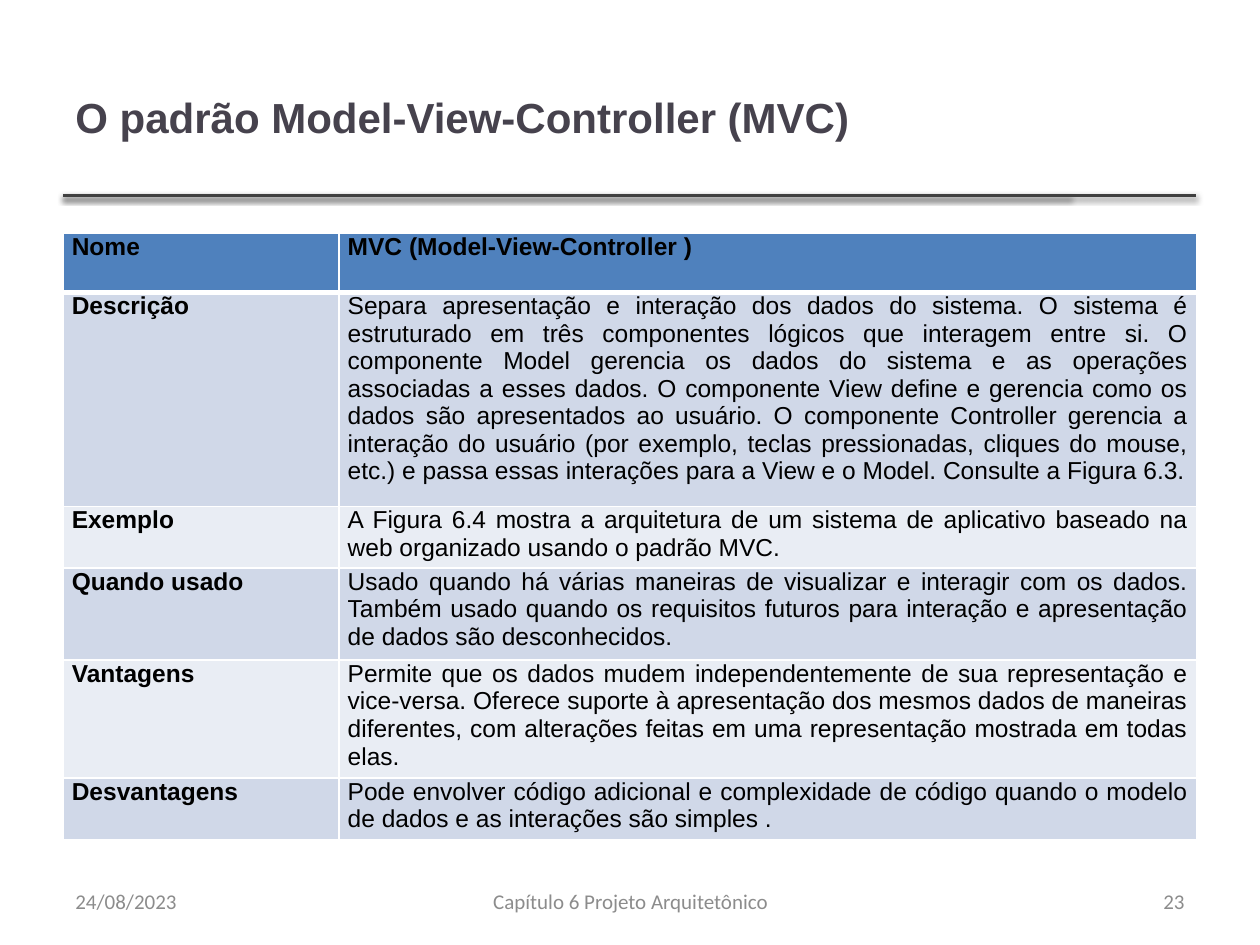
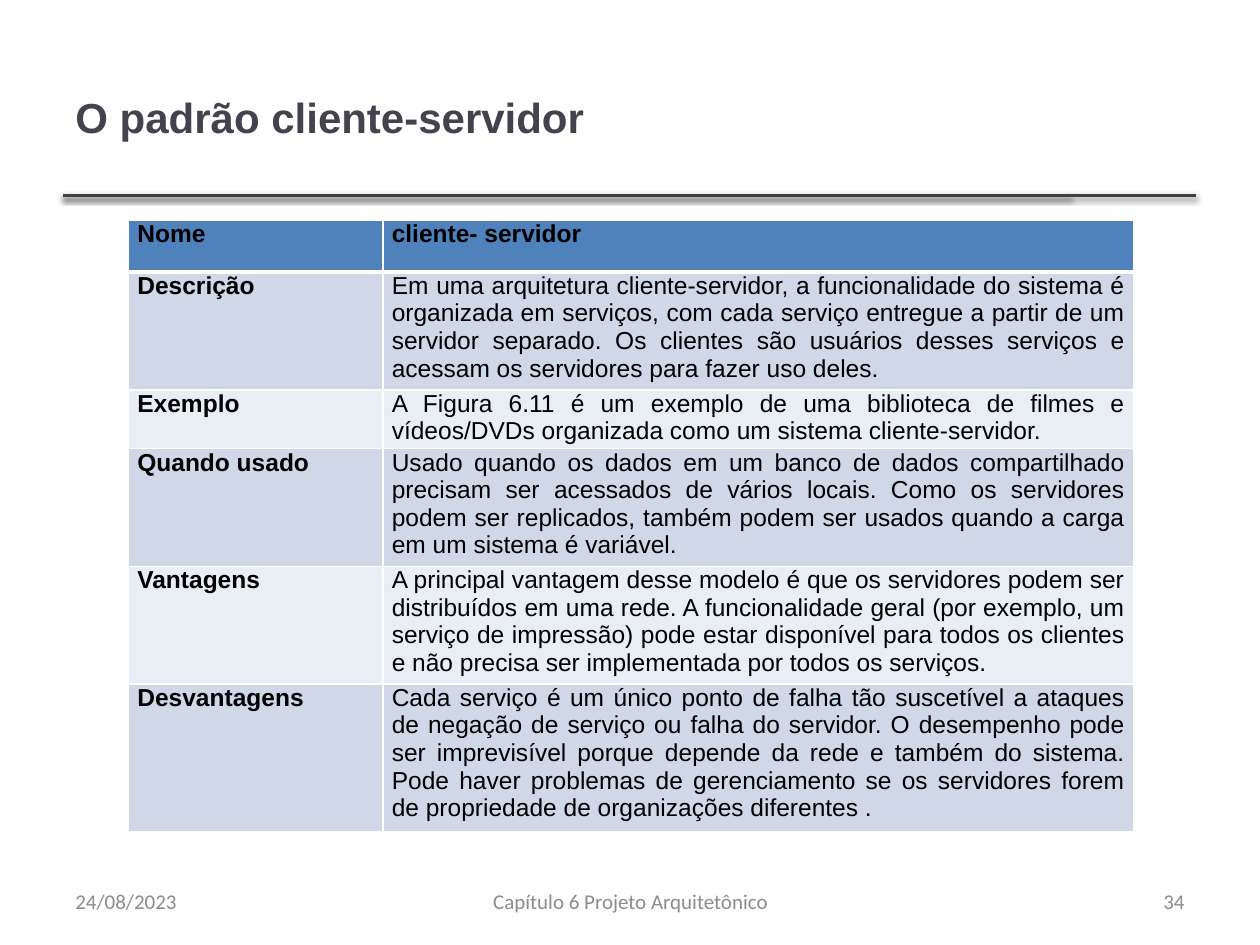
from pptx import Presentation
from pptx.util import Inches, Pt
from pptx.dml.color import RGBColor as RGB
from pptx.enum.shapes import MSO_CONNECTOR as Conn
from pptx.enum.text import MSO_ANCHOR as Anchor, PP_ALIGN as Align
from pptx.oxml import parse_xml
from pptx.oxml.ns import nsdecls

HUE = {"title": "46424D", "rule": "404040", "foot": "8C8C8C", "text": "000000",
       "head": "4F81BD", "dark": "D0D8E8", "light": "E9EDF4", "edge": "FFFFFF"}
HEADS = ["Nome", "Descrição", "Exemplo", "Quando usado", "Vantagens", "Desvantagens"]
NS = nsdecls("a")
SHADE = (f'<a:effectLst {NS}><a:outerShdw blurRad="40000" dist="20000" dir="5400000" rotWithShape="0">'
         '<a:srgbClr val="000000"><a:alpha val="38000"/></a:srgbClr></a:outerShdw></a:effectLst>')

PAGES = [
    {"title": "O padrão Model-View-Controller (MVC)", "page": "23",
     "at": (0.5, 1.85), "cols": (2.19, 6.81),
     "rows": (0.47, 1.7, 0.49, 0.73, 0.87, 0.49),
     "texts": [
         "MVC (Model-View-Controller )",
         "Separa apresentação e interação dos dados do sistema. O sistema é estruturado em três "
         "componentes lógicos que interagem entre si. O componente Model gerencia os dados do sistema "
         "e as operações associadas a esses dados. O componente View define e gerencia como os dados "
         "são apresentados ao usuário. O componente Controller gerencia a interação do usuário (por "
         "exemplo, teclas pressionadas, cliques do mouse, etc.) e passa essas interações para a View "
         "e o Model. Consulte a Figura 6.3.",
         "A Figura 6.4 mostra a arquitetura de um sistema de aplicativo baseado na web organizado "
         "usando o padrão MVC.",
         "Usado quando há várias maneiras de visualizar e interagir com os dados. Também usado quando "
         "os requisitos futuros para interação e apresentação de dados são desconhecidos.",
         "Permite que os dados mudem independentemente de sua representação e vice-versa. Oferece "
         "suporte à apresentação dos mesmos dados de maneiras diferentes, com alterações feitas em uma "
         "representação mostrada em todas elas.",
         "Pode envolver código adicional e complexidade de código quando o modelo de dados e as "
         "interações são simples ."]},
    {"title": "O padrão cliente-servidor", "page": "34",
     "at": (1.02, 1.75), "cols": (2.02, 5.96),
     "rows": (0.41, 0.87, 0.44, 0.87, 0.87, 1.09),
     "texts": [
         "cliente- servidor",
         "Em uma arquitetura cliente-servidor, a funcionalidade do sistema é organizada em serviços, "
         "com cada serviço entregue a partir de um servidor separado. Os clientes são usuários desses "
         "serviços e acessam os servidores para fazer uso deles.",
         "A Figura 6.11 é um exemplo de uma biblioteca de filmes e vídeos/DVDs organizada como um "
         "sistema cliente-servidor.",
         "Usado quando os dados em um banco de dados compartilhado precisam ser acessados de vários "
         "locais. Como os servidores podem ser replicados, também podem ser usados quando a carga em "
         "um sistema é variável.",
         "A principal vantagem desse modelo é que os servidores podem ser distribuídos em uma rede. A "
         "funcionalidade geral (por exemplo, um serviço de impressão) pode estar disponível para todos "
         "os clientes e não precisa ser implementada por todos os serviços.",
         "Cada serviço é um único ponto de falha tão suscetível a ataques de negação de serviço ou "
         "falha do servidor. O desempenho pode ser imprevisível porque depende da rede e também do "
         "sistema. Pode haver problemas de gerenciamento se os servidores forem de propriedade de "
         "organizações diferentes ."]},
]


def write(frame, text, size=14, font="Arial", hue="text", bold=False, align=Align.LEFT):
    frame.word_wrap = True
    par = frame.paragraphs[0]
    par.alignment = align
    run = par.add_run()
    run.text = text
    run.font.size = Pt(size)
    run.font.name = font
    run.font.bold = bold
    run.font.color.rgb = RGB.from_string(HUE[hue])


deck = Presentation()
deck.slide_width, deck.slide_height = Inches(10), Inches(7.5)

for page in PAGES:
    slide = deck.slides.add_slide(deck.slide_layouts[6])

    for end in (8.49, 9.49):
        rule = slide.shapes.add_connector(Conn.STRAIGHT, Inches(0.5), Inches(1.55), Inches(end), Inches(1.55))
        rule.line.width = Pt(2)
        rule.line.color.rgb = RGB.from_string(HUE["rule"])
        rule._element.spPr.append(parse_xml(SHADE))

    foot = {"size": 12, "font": "Calibri", "hue": "foot"}
    for text, spot, form in [
        (page["title"], (0.5, 0.3, 7.98, 1.25), {"size": 24, "hue": "title", "bold": True}),
        ("Capítulo 6 Projeto Arquitetônico", (3.42, 6.95, 3.17, 0.4), {**foot, "align": Align.CENTER}),
        (page["page"], (7.17, 6.95, 2.33, 0.4), {**foot, "align": Align.RIGHT}),
        ("24/08/2023", (0.5, 6.95, 2.33, 0.4), foot),
    ]:
        box = slide.shapes.add_textbox(*map(Inches, spot))
        box.text_frame.vertical_anchor = Anchor.MIDDLE
        write(box.text_frame, text, **form)

    size = sum(page["cols"]), sum(page["rows"])
    grid = slide.shapes.add_table(len(HEADS), 2, *map(Inches, page["at"] + size)).table
    for col, wide in zip(grid.columns, page["cols"]):
        col.width = Inches(wide)
    for row, tall in zip(grid.rows, page["rows"]):
        row.height = Inches(tall)

    for r, pair in enumerate(zip(HEADS, page["texts"])):
        for c, text in enumerate(pair):
            cell = grid.cell(r, c)
            cell.margin_left = cell.margin_right = Inches(0.07)
            cell.margin_top = cell.margin_bottom = 0
            write(cell.text_frame, text, bold=r == 0 or c == 0, align=Align.JUSTIFY)
            for side in "LRTB":
                thick = 3 if (r, side) in [(0, "B"), (1, "T")] else 1
                cell._tc.get_or_add_tcPr().append(parse_xml(
                    f'<a:ln{side} {NS} w="{Pt(thick)}"><a:solidFill>'
                    f'<a:srgbClr val="{HUE["edge"]}"/></a:solidFill></a:ln{side}>'))
            cell.fill.solid()
            band = "head" if r == 0 else "dark" if r % 2 else "light"
            cell.fill.fore_color.rgb = RGB.from_string(HUE[band])

deck.save("out.pptx")
